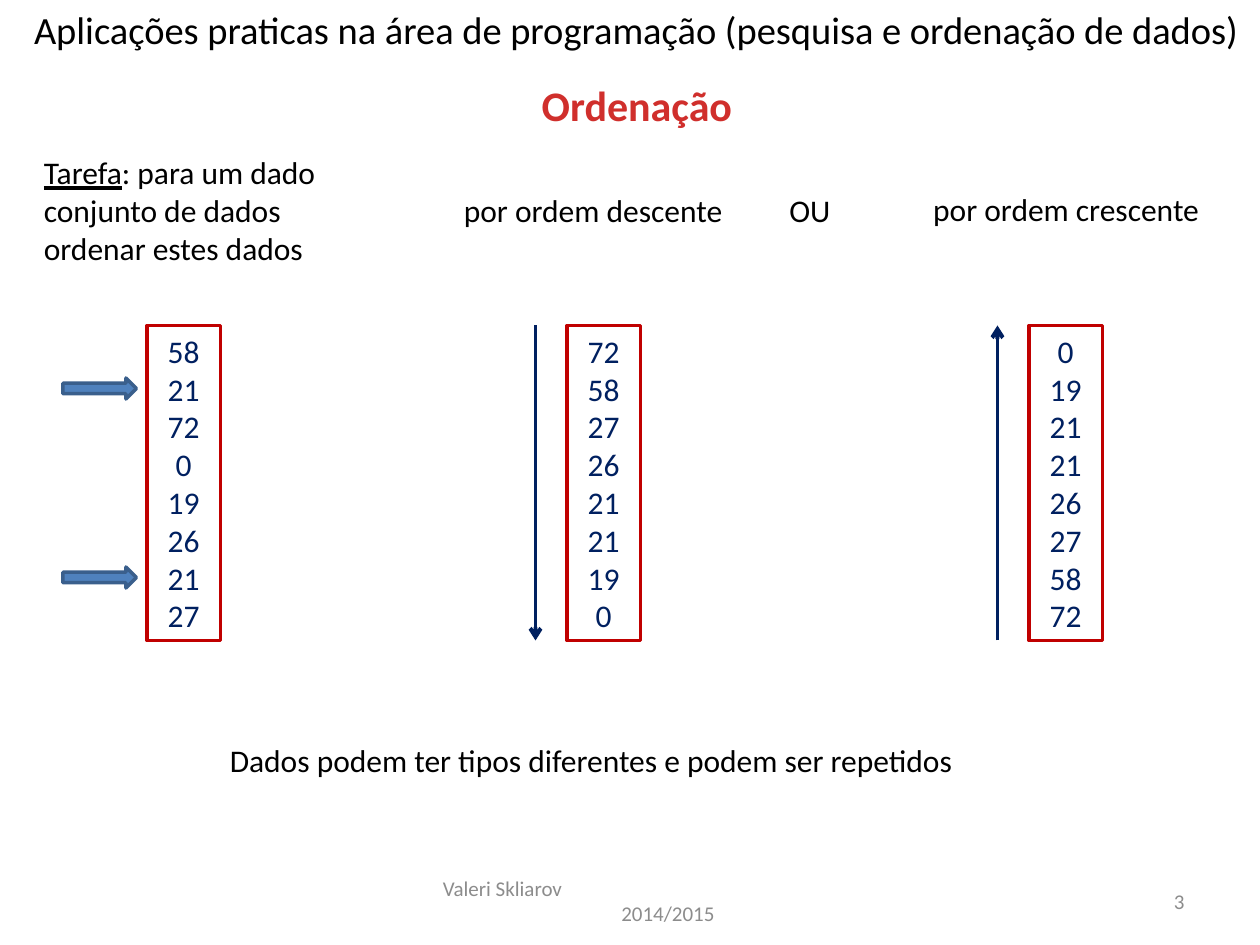
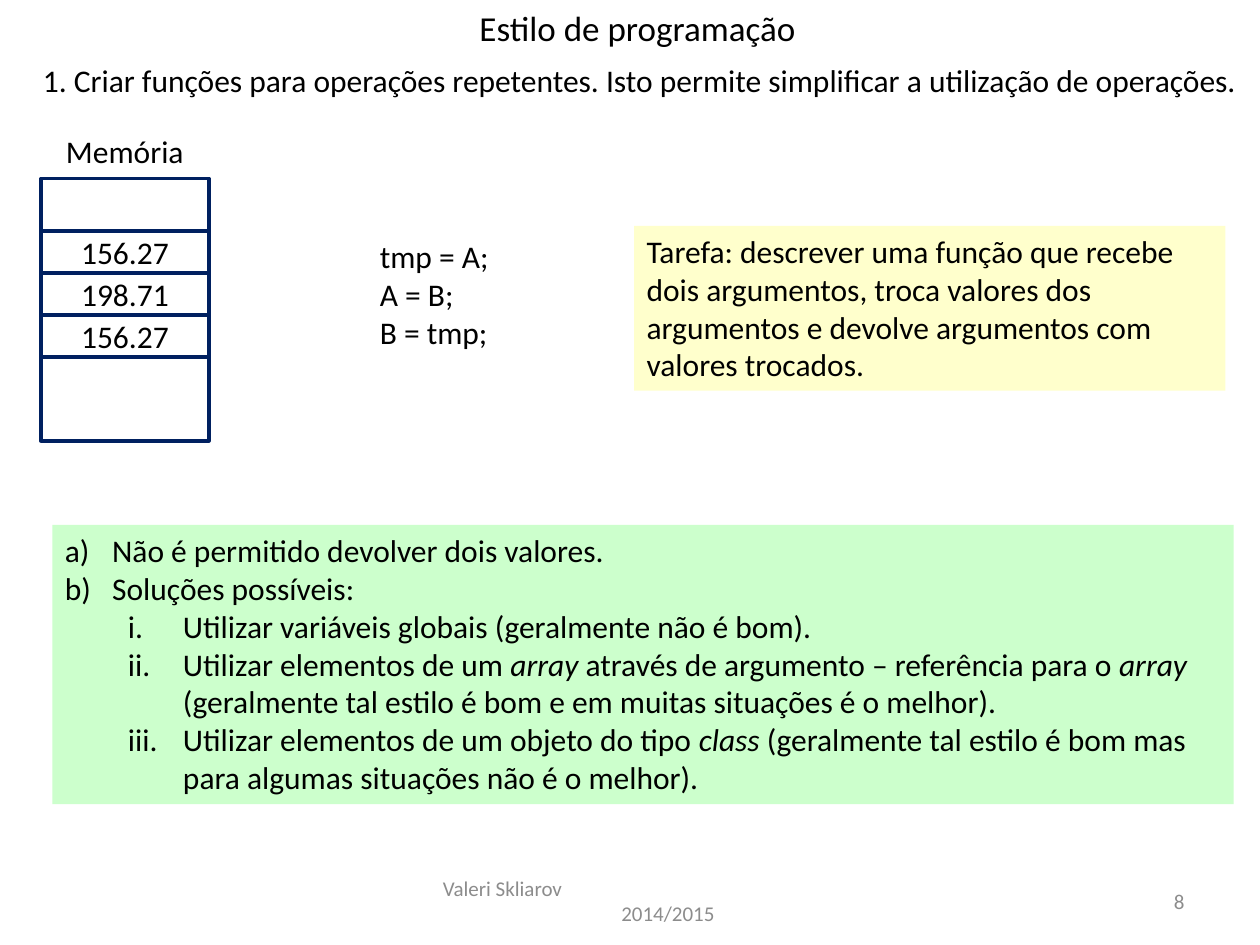
import collections
import pptx
import pptx.util
import pptx.dml.color
import pptx.enum.shapes
import pptx.enum.text
import pptx.oxml.ns
import lxml.etree

RGB = pptx.dml.color.RGBColor
BLACK = RGB(0, 0, 0)
WHITE = RGB(255, 255, 255)
GREY = RGB(0x8C, 0x8C, 0x8C)
NAVY = RGB(0x00, 0x20, 0x60)
DARK_RED = RGB(0xC0, 0, 0)
HEADING_RED = RGB(0xD0, 0x2F, 0x2C)
BLUE = RGB(0x4F, 0x81, 0xBD)
BLUE_EDGE = RGB(0x3A, 0x5F, 0x8C)
CREAM = RGB(0xFF, 0xFF, 0xCC)
MINT = RGB(0xCC, 0xFF, 0xCC)
FONT = "Calibri"
COLS, ROWS = 120, 90
LINE_ROWS = 3.6
LEFT = pptx.enum.text.PP_ALIGN.LEFT
CENTER = pptx.enum.text.PP_ALIGN.CENTER
RIGHT = pptx.enum.text.PP_ALIGN.RIGHT
TOP = pptx.enum.text.MSO_ANCHOR.TOP
MIDDLE = pptx.enum.text.MSO_ANCHOR.MIDDLE
SHAPE = pptx.enum.shapes.MSO_SHAPE

Box = collections.namedtuple("Box", "x y w h")

prs = pptx.Presentation()
prs.slide_width = pptx.util.Inches(10)
prs.slide_height = pptx.util.Inches(7.5)


def col(n):
    return round(prs.slide_width * n / COLS)


def row(n):
    return round(prs.slide_height * n / ROWS)


def emu(box):
    return col(box.x), row(box.y), col(box.w), row(box.h)


def add_xml(parent, tag, **attrs):
    return lxml.etree.SubElement(parent, pptx.oxml.ns.qn(tag), attrs)


def write(sp, paragraphs, size=18, color=BLACK, align=LEFT, anchor=TOP, wrap=True):
    tf = sp.text_frame
    tf.word_wrap = wrap
    tf.auto_size = pptx.enum.text.MSO_AUTO_SIZE.NONE
    tf.vertical_anchor = anchor
    for i, runs in enumerate(paragraphs):
        p = tf.paragraphs[0] if i == 0 else tf.add_paragraph()
        p.alignment = align
        for run in [runs] if isinstance(runs, str) else runs:
            text, style = (run, "") if isinstance(run, str) else run
            r = p.add_run()
            r.text = text
            r.font.name = FONT
            r.font.size = pptx.util.Pt(size)
            r.font.color.rgb = color
            if style:
                setattr(r.font, style, True)
    return tf


def add_text(s, box, paragraphs, **style):
    return write(s.shapes.add_textbox(*emu(box)), paragraphs, **style)


def label(s, x, y, w, text):
    add_text(s, Box(x, y, w, 4.8), [text], wrap=False)


def add_shape(s, kind, box, fill, line=None):
    sp = s.shapes.add_shape(kind, *emu(box))
    sp.shadow.inherit = False
    sp.fill.solid()
    sp.fill.fore_color.rgb = fill
    if line is None:
        sp.line.fill.background()
    else:
        sp.line.color.rgb = line
        sp.line.width = pptx.util.Pt(2)
    return sp


def add_line(s, x1, y1, x2, y2, width=2, arrow=False):
    ln = s.shapes.add_connector(
        pptx.enum.shapes.MSO_CONNECTOR.STRAIGHT, col(x1), row(y1), col(x2), row(y2))
    ln.line.color.rgb = NAVY
    ln.line.width = pptx.util.Pt(width)
    props = ln.element.spPr
    if arrow:
        add_xml(props.find(pptx.oxml.ns.qn("a:ln")), "a:tailEnd", type="arrow")
    add_xml(props, "a:effectLst")


def add_slide(title, box, size, number):
    s = prs.slides.add_slide(prs.slide_layouts[5])
    sp = s.shapes.title
    sp.left, sp.top, sp.width, sp.height = emu(box)
    write(sp, [title], size=size, align=CENTER, wrap=False)
    footer(s, Box(41, 83.4, 73, 4.8), number)
    return s


def footer(s, box, number):
    tf = add_text(s, box._replace(w=38), ["Valeri Skliarov", "2014/2015"],
                  size=12, color=GREY, anchor=MIDDLE)
    tf.paragraphs[1]._p.get_or_add_pPr().set("marL", str(col(17)))
    add_text(s, Box(box.x + box.w - 28, box.y, 28, box.h), [str(number)],
             size=12, color=GREY, align=RIGHT, anchor=MIDDLE)


def number_column(s, box, values):
    sp = add_shape(s, SHAPE.RECTANGLE, box, WHITE, DARK_RED)
    write(sp, [str(v) for v in values], color=NAVY, align=CENTER, anchor=MIDDLE)


def repeat_markers(s, box, values, repeated):
    for i, value in enumerate(values):
        if value == repeated:
            middle = box.y + box.h / 2 + (i - (len(values) - 1) / 2) * LINE_ROWS
            add_shape(s, SHAPE.RIGHT_ARROW, Box(box.x - 8, middle - 1, 7, 2),
                      BLUE, BLUE_EDGE)


def order_arrow(s, box, up):
    ends = [box.y, box.y + box.h]
    if up:
        ends.reverse()
    add_line(s, box.x - 3, ends[0], box.x - 3, ends[1], width=2.25, arrow=True)


def memory(s, box, cells):
    label(s, box.x + 1.2, box.y - 5, 13.8, "Memória")
    add_shape(s, SHAPE.RECTANGLE, box, WHITE, NAVY)
    first, step = box.y + 5, 4
    for i in range(len(cells) + 1):
        y = first + i * step
        add_line(s, box.x, y, box.x + box.w, y)
    for i, value in enumerate(cells):
        add_text(s, Box(box.x, first + i * step, box.w, step), [value],
                 align=CENTER, anchor=MIDDLE, wrap=False)


def panel(s, box, fill, paragraphs):
    return write(add_shape(s, SHAPE.RECTANGLE, box, fill), paragraphs)


def number_list(tf, levels):
    kinds = [("alphaLcParenR", 4.5, 4.5), ("romanLcPeriod", 11.25, 5.25)]
    for p, level in zip(tf.paragraphs, levels):
        kind, margin, hang = kinds[level]
        p.level = level
        props = p._p.get_or_add_pPr()
        props.set("marL", str(col(margin)))
        props.set("indent", str(-col(hang)))
        add_xml(props, "a:buFont", typeface="+mj-lt")
        add_xml(props, "a:buAutoNum", type=kind)


def sorting_slide():
    s = add_slide("Aplicações praticas na área de programação (pesquisa e ordenação de dados)",
                  Box(1.44, 0, 118.32, 5.64), 22, 3)
    add_text(s, Box(50.28, 7, 20.76, 6), [[("Ordenação", "bold")]], size=24,
             color=HEADING_RED, align=CENTER, wrap=False)
    add_text(s, Box(3, 14, 31, 12.1),
             [[("Tarefa", "underline"), ": para um dado conjunto de dados ordenar estes dados"]])
    label(s, 43, 17.6, 27.4, "por ordem descente")
    label(s, 74, 17.6, 6.4, "OU")
    label(s, 87.7, 17.5, 28.1, "por ordem crescente")
    values = [58, 21, 72, 0, 19, 26, 21, 27]
    given, falling, rising = [Box(x, 31, 7, 30) for x in (14, 54, 98)]
    number_column(s, given, values)
    repeat_markers(s, given, values, 21)
    number_column(s, falling, sorted(values, reverse=True))
    order_arrow(s, falling, up=False)
    number_column(s, rising, sorted(values))
    order_arrow(s, rising, up=True)
    label(s, 20.7, 70, 72.1, "Dados podem ter tipos diferentes e podem ser repetidos")


def style_slide():
    s = add_slide("Estilo de programação", Box(44.28, 0, 32.88, 5.28), 20, 8)
    label(s, 2.9, 5.2, 117.5, "1. Criar funções para operações repetentes. "
          "Isto permite simplificar a utilização de operações.")
    memory(s, Box(3.9, 17, 16, 25), ["156.27", "198.71", "156.27"])
    add_text(s, Box(35, 22, 13, 12.1), ["tmp = A;", "A = B;", "B = tmp;"], wrap=False)
    panel(s, Box(60.4, 21.5, 56.3, 15.7), CREAM,
          ["Tarefa: descrever uma função que recebe dois argumentos, troca valores dos "
           "argumentos e devolve argumentos com valores trocados."])
    tf = panel(s, Box(5, 50, 112.5, 26.6), MINT, [
        "Não é permitido devolver dois valores.",
        "Soluções possíveis:",
        "Utilizar variáveis globais (geralmente não é bom).",
        ["Utilizar elementos de um ", ("array", "italic"),
         " através de argumento – referência para o ", ("array ", "italic"),
         "(geralmente tal estilo é bom e em muitas situações é o melhor)."],
        ["Utilizar elementos de um objeto do tipo ", ("class ", "italic"),
         "(geralmente tal estilo é bom mas para algumas situações não é o melhor)."],
    ])
    number_list(tf, [0, 0, 1, 1, 1])


sorting_slide()
style_slide()
prs.save("out.pptx")
